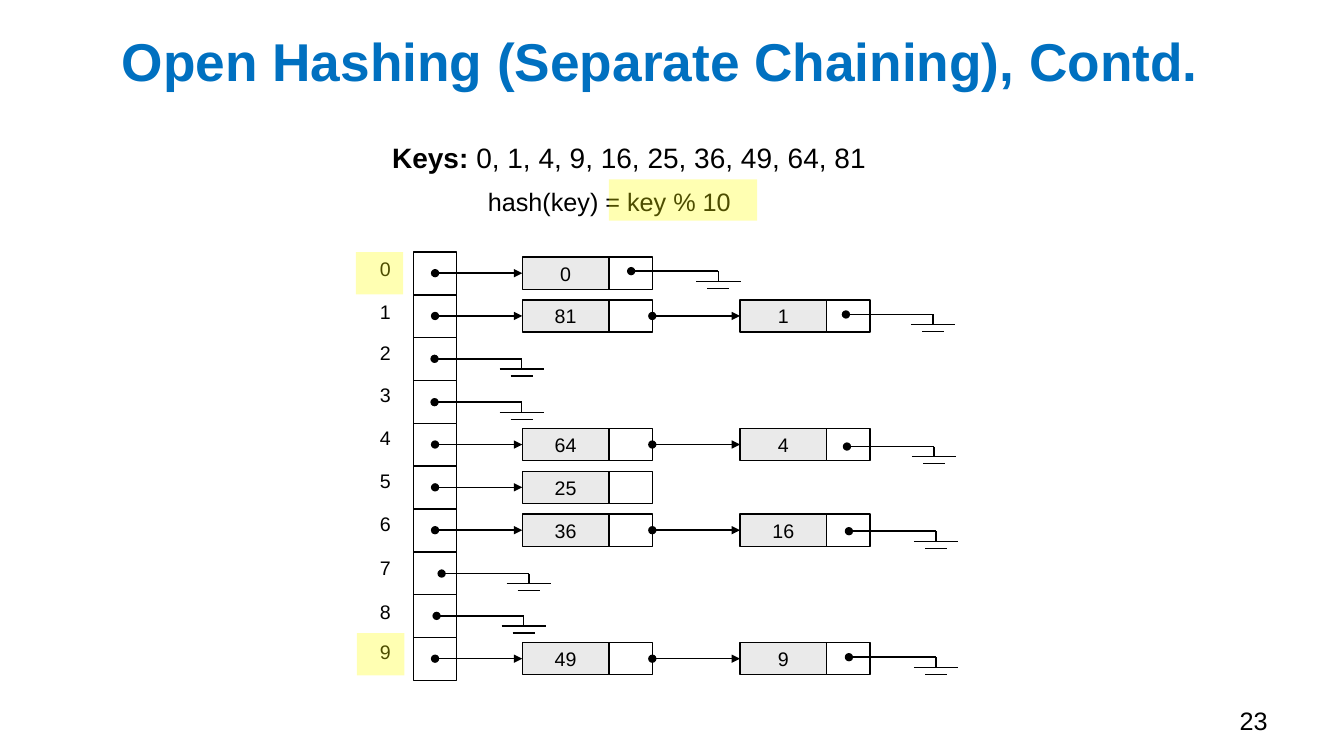
from dataclasses import dataclass

from lxml import etree
from pptx import Presentation
from pptx.dml.color import RGBColor
from pptx.enum.shapes import MSO_CONNECTOR, MSO_SHAPE
from pptx.enum.text import MSO_ANCHOR, MSO_AUTO_SIZE, PP_ALIGN
from pptx.oxml.ns import qn
from pptx.util import Inches, Pt

RECT, STRAIGHT = MSO_SHAPE.RECTANGLE, MSO_CONNECTOR.STRAIGHT
LEFT, CENTER, RIGHT = PP_ALIGN.LEFT, PP_ALIGN.CENTER, PP_ALIGN.RIGHT
MIDDLE, GROW = MSO_ANCHOR.MIDDLE, MSO_AUTO_SIZE.SHAPE_TO_FIT_TEXT
LEFT_SIDE, RIGHT_SIDE = 1, 3


@dataclass(frozen=True)
class Theme:
    font: str = "Arial"
    ink: str = "000000"
    title: str = "0070C0"
    paper: str = "FFFFFF"
    key_fill: str = "EAEAEA"
    marker: str = "FFFF00"
    marker_alpha: int = 30
    title_size: int = 38
    keys_size: int = 20
    text_size: int = 18
    label_size: int = 14
    line_width: int = 1


@dataclass(frozen=True)
class Bucket:
    label_top: float
    keys: tuple = ()
    ground: tuple | None = None  # start of the wire to the ground symbol


THEME = Theme()

# Table geometry, in inches
SLOT_LEFT, SLOT_TOP, SLOT, PITCH = 4.1, 2.5, 0.43, 0.425
NODE_LEFT, NODE_STEP, NODE_INSET = 5.18, 2.16, 0.05
KEY_W, NODE_H = 0.86, 0.32
WIRE, HALF_PLATES = 0.865, ((0.1, 0.22), (0.17, 0.11))

BUCKETS = [
    Bucket(2.5, ("0",), (6.26, 2.69)),
    Bucket(2.93, ("81", "1"), (8.39, 3.12)),
    Bucket(3.33, (), (4.31, 3.56)),
    Bucket(3.75, (), (4.31, 3.99)),
    Bucket(4.18, ("64", "4"), (8.4, 4.43)),
    Bucket(4.6, ("25",)),
    Bucket(5.03, ("36", "16"), (8.42, 5.27)),
    Bucket(5.47, (), (4.38, 5.69)),
    Bucket(5.9, (), (4.33, 6.11)),
    Bucket(6.3, ("49", "9"), (8.42, 6.52)),
]
MARKERS = [(6.04, 1.78, 1.47, 0.41), (3.54, 6.28, 0.47, 0.42), (3.53, 2.5, 0.47, 0.42)]

prs = Presentation()
prs.slide_width, prs.slide_height = Inches(13.33), Inches(7.5)
slide = prs.slides.add_slide(prs.slide_layouts[5])
shapes = slide.shapes


def add_run(p, text: str, *, size: int, color: str = THEME.ink, bold: bool = False) -> None:
    r = p.add_run()
    r.text = text
    r.font.name, r.font.size, r.font.bold = THEME.font, Pt(size), bold
    r.font.color.rgb = RGBColor.from_string(color)


def add_text(box: tuple, text: str, *, size: int, align=LEFT, wrap: bool = False,
             lead: str = ""):
    """Text box with an optional bold lead-in."""
    tf = shapes.add_textbox(*map(Inches, box)).text_frame
    tf.word_wrap, tf.auto_size = wrap, GROW
    p = tf.paragraphs[0]
    p.alignment = align
    if lead:
        add_run(p, lead, size=size, bold=True)
    add_run(p, text, size=size)


def add_rect(box: tuple, fill: str, *, text: str = "", outlined: bool = True,
             alpha: int = 100):
    sp = shapes.add_shape(RECT, *map(Inches, box))
    sp.shadow.inherit = False
    sp.fill.solid()
    sp.fill.fore_color.rgb = RGBColor.from_string(fill)
    if alpha < 100:
        color = sp.element.spPr.find(f"{qn('a:solidFill')}/{qn('a:srgbClr')}")
        etree.SubElement(color, qn("a:alpha")).set("val", str(alpha * 1000))
    if outlined:
        sp.line.color.rgb = RGBColor.from_string(THEME.ink)
        sp.line.width = Pt(THEME.line_width)
    else:
        sp.line.fill.background()
    if text:
        tf = sp.text_frame
        tf.word_wrap, tf.vertical_anchor = False, MIDDLE
        tf.paragraphs[0].alignment = CENTER
        add_run(tf.paragraphs[0], text, size=THEME.label_size)
    return sp


def add_line(x1: float, y1: float, x2: float, y2: float, *, dot: bool = False,
             arrow: bool = False):
    cxn = shapes.add_connector(STRAIGHT, *map(Inches, (x1, y1, x2, y2)))
    cxn.line.color.rgb = RGBColor.from_string(THEME.ink)
    cxn.line.width = Pt(THEME.line_width)
    ln = cxn.element.spPr.find(qn("a:ln"))
    if dot:
        etree.SubElement(ln, qn("a:headEnd")).set("type", "oval")
    if arrow:
        etree.SubElement(ln, qn("a:tailEnd")).set("type", "triangle")
    etree.SubElement(cxn.element.spPr, qn("a:effectLst"))
    return cxn


def add_ground(x: float, y: float) -> None:
    end = x + WIRE
    add_line(x, y, end, y, dot=True)
    add_line(end, y, end, y + HALF_PLATES[0][0])
    for drop, half in HALF_PLATES:
        add_line(end - half, y + drop, end + half, y + drop)


def add_chain(keys: tuple, top: float) -> None:
    """Linked nodes, each reached by an arrow from the slot or the node before."""
    mid, pointer = top + NODE_H / 2, None
    for i, key in enumerate(keys):
        left = NODE_LEFT + i * NODE_STEP
        key_cell = add_rect((left, top, KEY_W, NODE_H), THEME.key_fill, text=key)
        start = left - WIRE
        cxn = add_line(start, mid, left, mid, dot=True, arrow=True)
        if pointer is not None:
            cxn.begin_connect(pointer, RIGHT_SIDE)
        cxn.end_connect(key_cell, LEFT_SIDE)
        pointer = add_rect((left + KEY_W, top, SLOT, NODE_H), THEME.paper)


# Title
title = shapes.title
title.left, title.top, title.width, title.height = map(Inches, (0.5, 0.37, 12.1, 0.55))
title.fill.solid()
title.fill.fore_color.rgb = RGBColor.from_string(THEME.paper)
tf = title.text_frame
tf.margin_left = tf.margin_right = tf.margin_top = tf.margin_bottom = 0
tf.vertical_anchor, tf.auto_size, tf.word_wrap = MIDDLE, GROW, True
p = tf.paragraphs[0]
p.alignment, p.line_spacing = CENTER, Pt(39.2)
add_run(p, "Open Hashing (Separate Chaining), Contd.", size=THEME.title_size,
        color=THEME.title, bold=True)

# Hash table: slots first, so that arrows lie over them
for i, bucket in enumerate(BUCKETS):
    add_text((3.67, bucket.label_top, 0.31, 0.34), str(i), size=THEME.label_size)
    add_rect((SLOT_LEFT, SLOT_TOP + i * PITCH, SLOT, SLOT), THEME.paper)

# Chains and ground symbols
for i, bucket in enumerate(BUCKETS):
    add_chain(bucket.keys, SLOT_TOP + i * PITCH + NODE_INSET)
for bucket in BUCKETS:
    if bucket.ground:
        add_ground(*bucket.ground)

# Keys, hash function and page number
add_text((3.79, 1.34, 6.34, 0.44), "0, 1, 4, 9, 16, 25, 36, 49, 64, 81",
         size=THEME.keys_size, wrap=True, lead="Keys: ")
add_text((4.74, 1.8, 2.77, 0.41), "hash(key) = key % 10", size=THEME.text_size)
add_text((9.56, 6.95, 3.11, 0.4), "23", size=THEME.text_size, align=RIGHT, wrap=True)

# Highlights
for box in MARKERS:
    add_rect(box, THEME.marker, outlined=False, alpha=THEME.marker_alpha)

prs.save("out.pptx")
